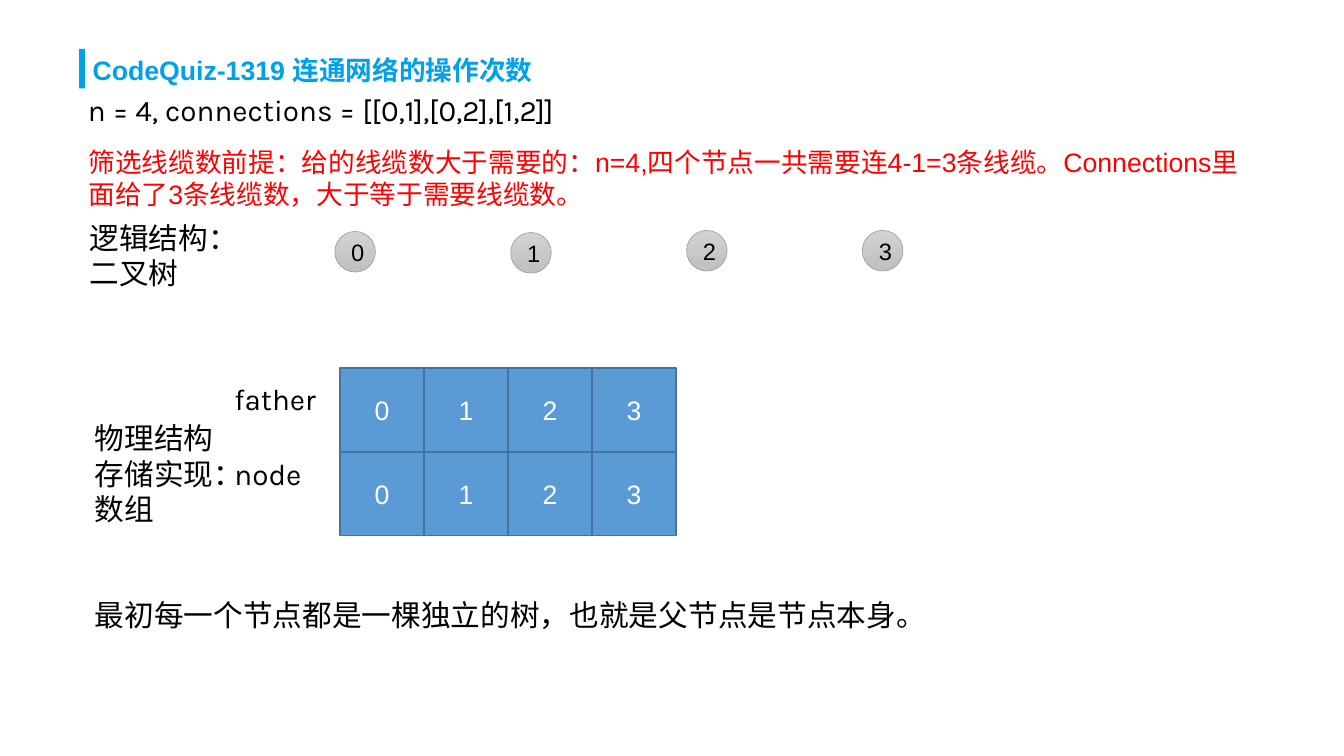
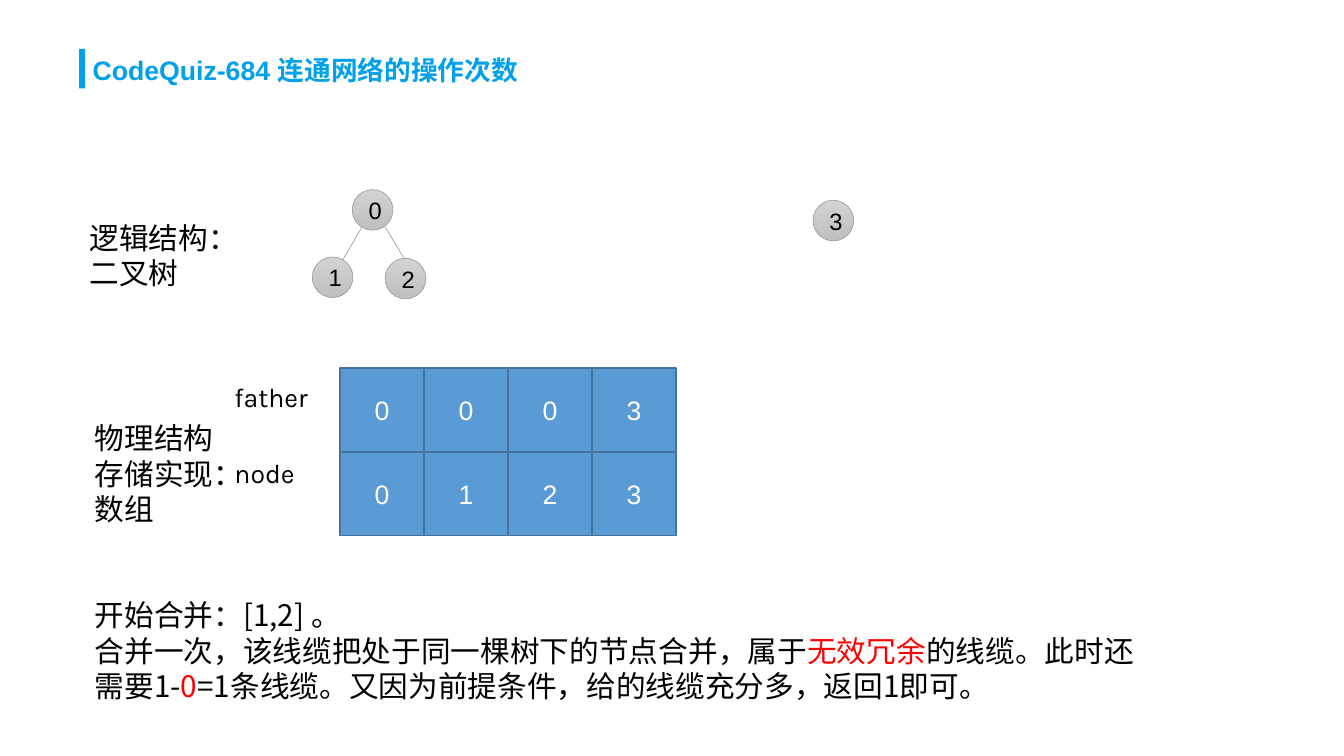
from dataclasses import dataclass

from lxml import etree
from pptx import Presentation
from pptx import slide as s
from pptx import util as u
from pptx.dml.color import RGBColor
from pptx.enum import lang, shapes, text
from pptx.oxml import ns
from pptx.shapes import autoshape


@dataclass(frozen=True)
class Theme:
    accent: str = "00A0EA"
    ink: str = "000000"
    alert: str = "FF0000"
    paper: str = "FFFFFF"
    cell_fill: str = "5B9BD5"
    cell_line: str = "43739E"
    node_top: str = "D2D2D2"
    node_bottom: str = "C0C0C0"
    node_line: str = "A5A5A5"
    body_font: str = "Arial"
    code_font: str = "Karla"
    chinese_font: str = "Noto Sans CJK JP"
    body_size: float = 20
    small_size: float = 18
    node_size: float = 16


THEME = Theme()


@dataclass(frozen=True)
class Box:
    left: float
    top: float
    width: float
    height: float

    def lengths(self) -> list[u.Length]:
        return [u.Pt(value) for value in (self.left, self.top, self.width, self.height)]


@dataclass(frozen=True)
class Run:
    words: str
    color: str = THEME.ink
    size: float = THEME.body_size
    font: str = THEME.body_font
    bold: bool = False


@dataclass(frozen=True)
class TextBlock:
    box: Box
    paragraphs: list[list[Run]]


@dataclass(frozen=True)
class Node:
    value: int
    left: float
    top: float


@dataclass(frozen=True)
class Edge:
    start: tuple[float, float]
    end: tuple[float, float]


@dataclass(frozen=True)
class Step:
    title: str
    nodes: list[Node]
    edges: list[Edge]
    fathers: list[int]
    label_size: float
    blocks: list[TextBlock]


SLIDE_WIDTH, SLIDE_HEIGHT = 907.2, 510.5
NODE_DIAMETER = 27.4
CELL_SIDE = 56.7
ARRAY_LEFT, ARRAY_TOP = 229.5, 248.4
CONCLUSION_LEFT, CONCLUSION_TOP, CONCLUSION_WIDTH = 56.9, 399.6, 733.7

STRUCTURE_LABELS = [
    TextBlock(Box(53.3, 144.7, 118.8, 55.4), [[Run("逻辑结构：二叉树")]]),
    TextBlock(Box(56.9, 280.1, 110.9, 79.9), [[Run("物理结构存储实现：数组")]]),
]


def chinese(words: str, color: str = THEME.ink) -> Run:
    return Run(words, color, font=THEME.chinese_font)


STEPS = [
    Step(
        title="CodeQuiz-1319 连通网络的操作次数",
        nodes=[
            Node(value, 226 + 118.7 * value, top)
            for value, top in enumerate((156.3, 157, 155.6, 155.6))
        ],
        edges=[],
        fathers=[0, 1, 2, 3],
        label_size=THEME.body_size,
        blocks=[
            TextBlock(
                Box(CONCLUSION_LEFT, CONCLUSION_TOP, CONCLUSION_WIDTH, 31.7),
                [[Run("最初每一个节点都是一棵独立的树，也就是父节点是节点本身。")]],
            ),
            TextBlock(
                Box(52.2, 58.3, 733.7, 31.7),
                [[Run("n = 4, connections = [[0,1],[0,2],[1,2]]", font=THEME.code_font)]],
            ),
            TextBlock(
                Box(52.6, 95, 801.4, 51.1),
                [[Run(
                    "筛选线缆数前提：给的线缆数大于需要的：n=4,四个节点一共需要连4-1=3条线缆。"
                    "Connections里面给了3条线缆数，大于等于需要线缆数。",
                    THEME.alert,
                    THEME.small_size,
                )]],
            ),
        ],
    ),
    Step(
        title="CodeQuiz-684 连通网络的操作次数",
        nodes=[
            Node(0, 237.8, 128),
            Node(1, 210.8, 173.5),
            Node(2, 260, 174.4),
            Node(3, 548.8, 135.2),
        ],
        edges=[
            Edge((259.2, 151.9), (282.2, 190.1)),
            Edge((252.7, 139), (225.4, 185.8)),
        ],
        fathers=[0, 0, 0, 3],
        label_size=THEME.small_size,
        blocks=[
            TextBlock(
                Box(CONCLUSION_LEFT, CONCLUSION_TOP, CONCLUSION_WIDTH, 79.9),
                [
                    [chinese("开始合并：[1,2] 。")],
                    [
                        chinese("合并一次，该线缆把处于同一棵树下的节点合并，属于"),
                        chinese("无效冗余", THEME.alert),
                        chinese("的线缆。此时还需要1-"),
                        chinese("0", THEME.alert),
                        chinese("=1条线缆。又因为前提条件，给的线缆充分多，返回1即可。"),
                    ],
                ],
            ),
        ],
    ),
]


def rgb(color: str) -> RGBColor:
    return RGBColor.from_string(color)


def write(frame, paragraphs: list[list[Run]]) -> None:
    frame.word_wrap = True
    for index, runs in enumerate(paragraphs):
        paragraph = frame.add_paragraph() if index else frame.paragraphs[0]
        for item in runs:
            run = paragraph.add_run()
            run.text = item.words
            run.font.name = item.font
            run.font.size = u.Pt(item.size)
            run.font.bold = item.bold
            run.font.color.rgb = rgb(item.color)
            run.font.language_id = lang.MSO_LANGUAGE_ID.SIMPLIFIED_CHINESE


def add_text(slide: s.Slide, block: TextBlock) -> None:
    frame = slide.shapes.add_textbox(*block.box.lengths()).text_frame
    write(frame, block.paragraphs)
    frame.auto_size = text.MSO_AUTO_SIZE.SHAPE_TO_FIT_TEXT


def add_plain_shape(
    slide: s.Slide, kind: shapes.MSO_SHAPE, box: Box
) -> autoshape.Shape:
    shape = slide.shapes.add_shape(kind, *box.lengths())
    shape.shadow.inherit = False
    return shape


def outline(shape: autoshape.Shape, color: str, width: float) -> None:
    shape.line.color.rgb = rgb(color)
    shape.line.width = u.Pt(width)


def write_centred(shape: autoshape.Shape, run: Run) -> None:
    frame = shape.text_frame
    write(frame, [[run]])
    frame.vertical_anchor = text.MSO_ANCHOR.MIDDLE
    frame.paragraphs[0].alignment = text.PP_ALIGN.CENTER


def add_title(slide: s.Slide, title: str) -> None:
    run = Run(title, THEME.accent, THEME.small_size, bold=True)
    add_text(slide, TextBlock(Box(55.4, 33.1, 452.9, 28.8), [[run]]))
    bar = add_plain_shape(slide, shapes.MSO_SHAPE.RECTANGLE, Box(53.5, 33.1, 3.8, 26.6))
    bar.fill.solid()
    bar.fill.fore_color.rgb = rgb(THEME.accent)
    bar.line.fill.background()


def add_edge(slide: s.Slide, edge: Edge) -> None:
    ends = [u.Pt(value) for value in (*edge.start, *edge.end)]
    connector = slide.shapes.add_connector(shapes.MSO_CONNECTOR.STRAIGHT, *ends)
    connector.line.color.rgb = rgb(THEME.node_line)
    connector.line.width = u.Pt(0.5)
    etree.SubElement(connector.element.spPr, ns.qn("a:effectLst"))


def add_node(slide: s.Slide, node: Node) -> None:
    box = Box(node.left, node.top, NODE_DIAMETER, NODE_DIAMETER)
    circle = add_plain_shape(slide, shapes.MSO_SHAPE.OVAL, box)
    circle.fill.gradient()
    circle.fill.gradient_angle = 270
    for stop, color in zip(
        circle.fill.gradient_stops, (THEME.node_top, THEME.node_bottom)
    ):
        stop.color.rgb = rgb(color)
    outline(circle, THEME.node_line, 0.5)
    write_centred(circle, Run(str(node.value), size=THEME.node_size))


def add_array(slide: s.Slide, fathers: list[int]) -> None:
    for row, values in enumerate((fathers, range(len(fathers)))):
        for column, value in enumerate(values):
            box = Box(
                ARRAY_LEFT + column * CELL_SIDE,
                ARRAY_TOP + row * CELL_SIDE,
                CELL_SIDE,
                CELL_SIDE,
            )
            cell = add_plain_shape(slide, shapes.MSO_SHAPE.RECTANGLE, box)
            cell.fill.solid()
            cell.fill.fore_color.rgb = rgb(THEME.cell_fill)
            outline(cell, THEME.cell_line, 1)
            write_centred(cell, Run(str(value), THEME.paper, THEME.small_size))


def add_row_labels(slide: s.Slide, size: float) -> None:
    for label, top in (("father", 253.4), ("node", 304.6)):
        run = Run(label, size=size, font=THEME.code_font)
        add_text(slide, TextBlock(Box(151.2, top, 73.4, 1.44 * size + 2.9), [[run]]))


def add_step(presentation, step: Step) -> None:
    slide = presentation.slides.add_slide(presentation.slide_layouts[6])
    add_title(slide, step.title)
    for block in STRUCTURE_LABELS + step.blocks:
        add_text(slide, block)
    add_row_labels(slide, step.label_size)
    for edge in step.edges:
        add_edge(slide, edge)
    for node in step.nodes:
        add_node(slide, node)
    add_array(slide, step.fathers)


def main() -> None:
    presentation = Presentation()
    presentation.slide_width = u.Pt(SLIDE_WIDTH)
    presentation.slide_height = u.Pt(SLIDE_HEIGHT)
    for step in STEPS:
        add_step(presentation, step)
    presentation.save("out.pptx")


if __name__ == "__main__":
    main()
